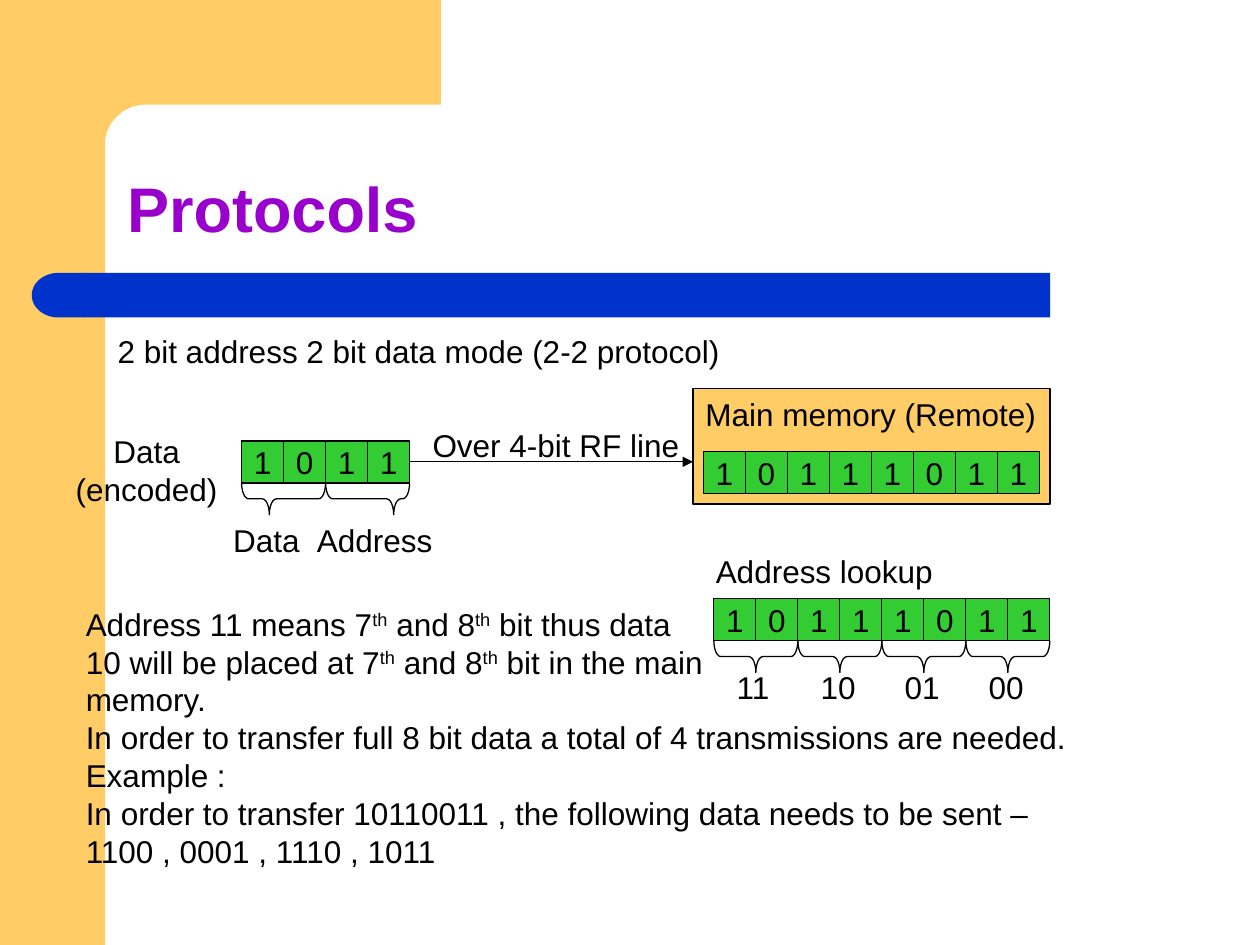
import math

from pptx import Presentation
from pptx import util as u
from pptx.dml import color
from pptx.enum import shapes, text
from pptx.oxml import ns
from lxml import etree

FONT = "Arial"
BLACK, SAND, GREEN, BLUE, PURPLE = "000000", "FFCC66", "33CC33", "0033CC", "9900CC"
CELL = 2.54 / 3
BRACE_DEPTH = 0.64
LABEL_HEIGHT = 1.02
KIND = shapes.MSO_SHAPE
LEFT, CENTER = text.PP_ALIGN.LEFT, text.PP_ALIGN.CENTER


def rgb(value):
    return color.RGBColor.from_string(value)


def style_font(font, size=18, tint=BLACK, bold=False):
    font.name = FONT
    font.size = u.Pt(size)
    font.bold = bold
    font.color.rgb = rgb(tint)


def paint(shape, fill=None, line=None):
    shape.shadow.inherit = False
    if fill:
        shape.fill.solid()
        shape.fill.fore_color.rgb = rgb(fill)
    else:
        shape.fill.background()
    if line:
        shape.line.color.rgb = rgb(line)
        shape.line.width = u.Pt(0.75)
    else:
        shape.line.fill.background()


def add_block(page, kind, left, top, width, height, fill=None, line=None):
    shape = page.shapes.add_shape(kind, u.Cm(left), u.Cm(top), u.Cm(width), u.Cm(height))
    paint(shape, fill, line)
    return shape


def add_text(page, lines, left, top, width, height=LABEL_HEIGHT, align=LEFT):
    box = page.shapes.add_textbox(u.Cm(left), u.Cm(top), u.Cm(width), u.Cm(height))
    frame = box.text_frame
    frame.word_wrap = False
    frame.auto_size = text.MSO_AUTO_SIZE.SHAPE_TO_FIT_TEXT
    for index, line in enumerate(lines):
        para = frame.paragraphs[0] if index == 0 else frame.add_paragraph()
        para.alignment = align
        for position, part in enumerate(line.split("^")):
            span = para.add_run()
            span.text = part
            style_font(span.font)
            if position % 2:
                span.font._element.set("baseline", "30000")


def add_bits(page, bits, left, top):
    for index, bit in enumerate(bits):
        cell = add_block(page, KIND.RECTANGLE, left + index * CELL, top, CELL, CELL, GREEN, BLACK)
        frame = cell.text_frame
        frame.word_wrap = False
        frame.vertical_anchor = text.MSO_ANCHOR.MIDDLE
        para = frame.paragraphs[0]
        para.text = bit
        para.alignment = CENTER
        style_font(para.runs[0].font)


def add_brace(page, left, top, tip=0.5):
    span = 2 * CELL
    shift = (span - BRACE_DEPTH) / 2
    brace = add_block(page, KIND.RIGHT_BRACE, left + shift, top - shift,
                      BRACE_DEPTH, span, line=BLACK)
    brace.rotation = 90
    brace.adjustments[0] = 0.22
    brace.adjustments[1] = tip


def add_arrow(page, left, top, length):
    arrow = page.shapes.add_connector(shapes.MSO_CONNECTOR.STRAIGHT, u.Cm(left), u.Cm(top),
                                      u.Cm(left + length), u.Cm(top))
    arrow.line.color.rgb = rgb(BLACK)
    arrow.line.width = u.Pt(0.75)
    etree.SubElement(arrow.line._get_or_add_ln(), ns.qn("a:tailEnd"), type="triangle")
    etree.SubElement(arrow._element.spPr, ns.qn("a:effectLst"))


def add_corner(page, left, top, width, height):
    edge, radius = 2.11, 0.83
    inner = 0.84
    center_x, center_y = inner + radius, edge + radius
    arc = [(center_x - radius * math.sin(angle), center_y - radius * math.cos(angle))
           for angle in (math.radians(step) for step in range(0, 91, 6))]
    points = [(width, 0), (width, edge), *arc, (inner, height), (0, height)]
    builder = page.shapes.build_freeform(u.Cm(left), u.Cm(top))
    builder.add_line_segments([(u.Cm(left + x), u.Cm(top + y)) for x, y in points], close=True)
    paint(builder.convert_to_shape(), SAND)


def add_frame(page, height):
    add_block(page, KIND.RECTANGLE, 0, 0, 2.12, height, SAND)
    add_corner(page, 1.27, 0, 7.62, 3.25)
    add_block(page, KIND.RECTANGLE, 1.7, 5.5, 19.47, 0.9, BLUE)
    cap = add_block(page, KIND.FLOWCHART_DELAY, 0.64, 5.5, 1.08, 0.9, BLUE)
    cap.rotation = 180


def add_title(page, wording, left, top, width, height):
    title = page.shapes.title
    title.left, title.top, title.width, title.height = map(u.Cm, (left, top, width, height))
    frame = title.text_frame
    frame.text = wording
    frame.auto_size = text.MSO_AUTO_SIZE.NONE
    frame.vertical_anchor = text.MSO_ANCHOR.BOTTOM
    para = frame.paragraphs[0]
    para.alignment = LEFT
    para.line_spacing = 0.9
    style_font(para.runs[0].font, 36, PURPLE, True)


def add_sender(page, left, top):
    add_text(page, ["Data", "(encoded)"], left - 0.04, top, 3.45, 1.78, CENTER)
    row_left, row_top = left + 3.6, top + 0.31
    add_bits(page, "1011", row_left, row_top)
    add_brace(page, row_left, row_top + CELL, 0.67)
    add_brace(page, row_left + 2 * CELL, row_top + CELL, 0.19)
    add_text(page, ["Data"], left + 3.18, top + 1.79, 1.95)
    add_text(page, ["Address"], left + 4.87, top + 1.79, 2.95)


def add_link(page, left, top, length):
    add_arrow(page, left, top, length)
    add_text(page, ["Over 4-bit RF line"], left + 0.21, top - 0.85, 5.6)


def add_memory(page, left, top, width, height):
    add_block(page, KIND.RECTANGLE, left, top, width, height, SAND, BLACK)
    add_text(page, ["Main memory (Remote)"], left, top, 7.3)
    add_bits(page, "10111011", left + 0.21, top + 1.27)


def add_lookup(page, left, top):
    add_text(page, ["Address lookup"], left - 0.21, top - 1.06, 5)
    add_bits(page, "10111011", left, top)
    for index, address in enumerate(["11", "10", "01", "00"]):
        pair_left = left + index * 2 * CELL
        add_brace(page, pair_left, top + CELL)
        add_text(page, [address], pair_left + 0.21, top + 1.27, 1.3)


def main():
    deck = Presentation()
    deck.slide_width, deck.slide_height = u.Cm(25.4), u.Cm(19.05)
    page = deck.slides.add_slide(deck.slide_layouts[5])
    add_frame(page, 19.05)
    add_title(page, "Protocols", 2.31, 2.31, 21.62, 2.77)
    add_text(page, ["2 bit address 2 bit data mode (2-2 protocol)"], 2.12, 6.56, 12.75)
    add_sender(page, 1.27, 8.58)
    add_memory(page, 13.97, 7.83, 7.2, 2.33)
    add_link(page, 8.26, 9.31, 5.71)
    add_lookup(page, 14.39, 12.07)
    add_text(page, [
        "Address 11 means 7^th^ and 8^th^ bit thus data",
        "10 will be placed at 7^th^ and 8^th^ bit in the main",
        "memory.",
        "In order to transfer full 8 bit data a total of 4 transmissions are needed.",
        "Example :",
        "In order to transfer 10110011 , the following data needs to be sent –",
        "1100 , 0001 , 1110 , 1011",
    ], 1.48, 12.07, 20.4, 5.59)
    deck.save("out.pptx")


if __name__ == "__main__":
    main()
